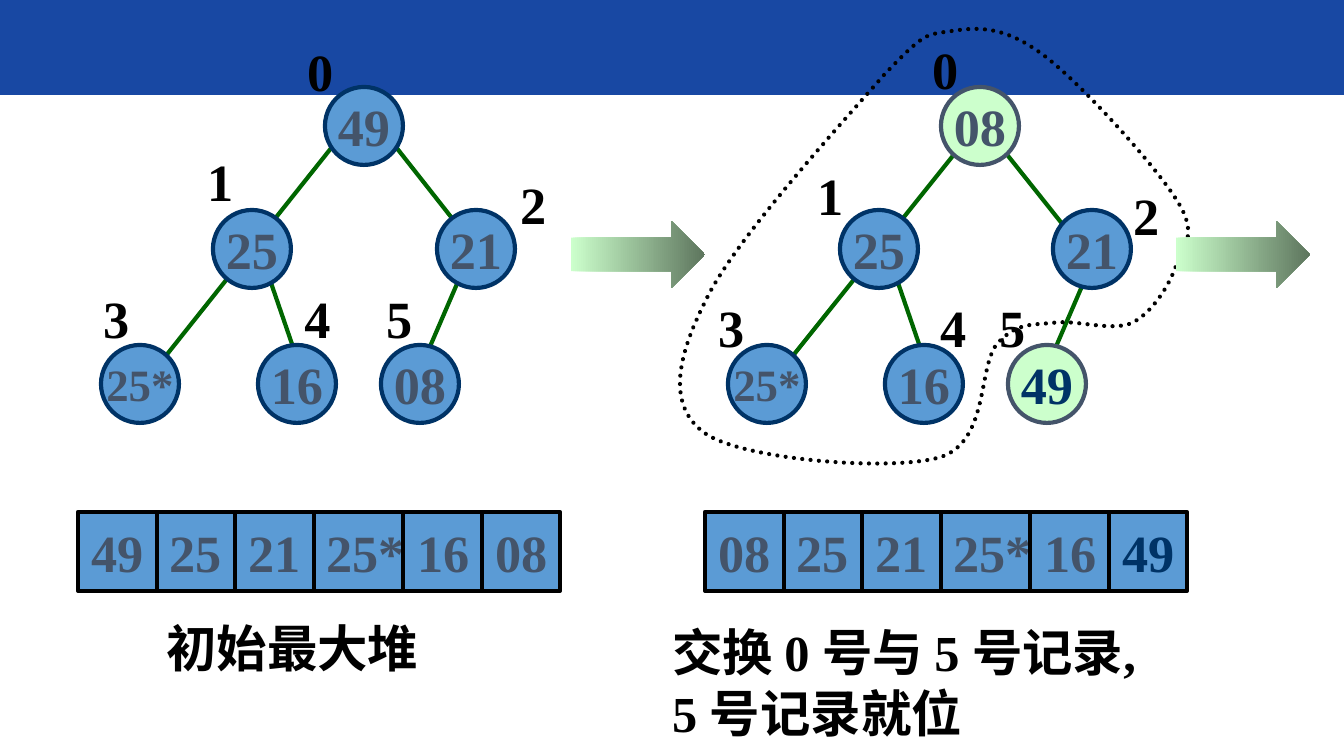
import pptx
import pptx.util
import pptx.dml.color
import pptx.enum.dml
import pptx.enum.shapes
import pptx.enum.text
import pptx.oxml
import pptx.oxml.ns

PX = 9144000 / 1344
KIND = pptx.enum.shapes.MSO_SHAPE
INK, NAVY, SLATE = "000000", "003366", "44546A"
BLUE, MINT = "5B9BD5", "CCFFCC"
SPACE = pptx.oxml.ns.nsdecls("a")

prs = pptx.Presentation()
prs.slide_width, prs.slide_height = round(1344 * PX), round(756 * PX)
slide = prs.slides.add_slide(prs.slide_layouts[6])
shapes = slide.shapes


def color(code):
    return pptx.dml.color.RGBColor.from_string(code)


def draw(kind, x, y, wide, high, fill=None, edge=None, lines=(), size=28):
    """Add a line, text box or preset shape; lines hold (words, color) runs."""
    box = [round(v * PX) for v in (x, y, wide, high)]
    if kind == "line":
        item = shapes.add_connector(
            pptx.enum.shapes.MSO_CONNECTOR.STRAIGHT,
            box[0], box[1], box[0] + box[2], box[1] + box[3])
    elif kind == "text":
        item = shapes.add_textbox(*box)
    else:
        item = shapes.add_shape(kind, *box)
        item.shadow.inherit = False
        if fill:
            item.fill.solid()
            item.fill.fore_color.rgb = color(fill)
        if not edge:
            item.line.fill.background()
    if edge:
        item.line.color.rgb = color(edge)
        item.line.width = pptx.util.Pt(2.25)
    if kind == "line":
        item._element.spPr.append(
            pptx.oxml.parse_xml("<a:effectLst %s/>" % SPACE))
        return item
    frame = item.text_frame
    frame.word_wrap = False
    if kind != "text":
        frame.vertical_anchor = pptx.enum.text.MSO_ANCHOR.MIDDLE
        frame.paragraphs[0].alignment = pptx.enum.text.PP_ALIGN.CENTER
    for i, line in enumerate(lines):
        para = frame.add_paragraph() if i else frame.paragraphs[0]
        for words, tint in line:
            run = para.add_run()
            run.text = words
            run.font.name = "Times New Roman"
            run.font.size = pptx.util.Pt(size)
            run.font.bold = True
            run.font.color.rgb = color(tint)
    return item


# Header band
draw(KIND.RECTANGLE, 0, 0, 1344, 95, "1848A3")

# Heaps: node (left, top, value), index label (left, top), edge ends
first = {
    "nodes": [(325, 87, "49"), (213, 210, "25"), (437, 210, "21"),
              (101, 345, "25*"), (258, 345, "16"), (381, 345, "08")],
    "marks": [(294, 33), (194, 143), (507, 166),
              (90, 280), (291, 280), (373, 280)],
    "edges": [(460, 277, 426, 356), (392, 142, 481, 255),
              (269, 277, 292, 344), (336, 142, 157, 367)],
    "swapped": [], "bar": 78,
}
second = {
    "nodes": [(941, 87, "08"), (840, 210, "25"), (1053, 210, "21"),
              (728, 345, "25*"), (885, 345, "16"), (1008, 345, "49")],
    "marks": [(919, 31), (804, 157), (1120, 177),
              (705, 289), (927, 289), (986, 289)],
    "edges": [(1086, 277, 1052, 356), (997, 142, 1087, 255),
              (896, 277, 919, 344), (964, 142, 784, 367)],
    "swapped": [0, 5], "bar": 705,
}

for heap in (first, second):
    for x, y, right, low in heap["edges"]:
        draw("line", x, y, right - x, low - y, edge="006600")

    tints = []
    for i, (x, y, value) in enumerate(heap["nodes"]):
        moved = i in heap["swapped"]
        tints.append(NAVY if moved and i == 5 else SLATE)
        draw(KIND.OVAL, x, y, 78, 78, MINT if moved else BLUE,
             SLATE if moved else NAVY, [[(value, tints[i])]],
             24 if len(value) > 2 else 28)
    for i, (x, y) in enumerate(heap["marks"]):
        draw("text", x, y, 52, 77, lines=[[(str(i), INK)]])

    # Array bar, with one tab stop for each later cell
    left = heap["bar"]
    words = "\t".join(node[2] for node in heap["nodes"])
    runs = [(words, SLATE)]
    if heap["swapped"]:
        runs = [(words[:-2], SLATE), (words[-2:], NAVY)]
    bar = draw(KIND.RECTANGLE, left, 512, 482, 79, BLUE, INK, [runs])
    bar.text_frame.word_wrap = True
    bar.text_frame.margin_left = round(13 * PX)
    bar.text_frame.margin_right = 0
    para = bar.text_frame.paragraphs[0]
    para.alignment = pptx.enum.text.PP_ALIGN.LEFT
    stops = "".join('<a:tab pos="%d" algn="l"/>' % round(at * PX)
                    for at in (78, 157, 235, 326, 404))
    para._p.get_or_add_pPr().append(pptx.oxml.parse_xml(
        "<a:tabLst %s>%s</a:tabLst>" % (SPACE, stops)))
    for step in (79, 157, 236, 325, 404):
        draw("line", left + step, 512, 0, 79, edge=INK)

# Captions
for x, y, wide, high, lines in [
        (659, 615, 578, 134, ["交换 0 号与 5 号记录,", "5 号记录就位"]),
        (153, 610, 313, 74, ["初始最大堆"])]:
    note = draw("text", x, y, wide, high,
                lines=[[(words, INK)] for words in lines], size=27)
    note.text_frame.word_wrap = True

# Dotted loop around the remaining heap: two handles and an end per curve
start = (884, 75)
curves = [
    (844, 121), (735, 239), (706, 300),
    (676, 359), (667, 407), (706, 434),
    (745, 460), (892, 472), (941, 457),
    (989, 441), (978, 367), (997, 344),
    (1016, 323), (1031, 325), (1052, 323),
    (1075, 319), (1111, 332), (1132, 323),
    (1152, 313), (1169, 286), (1176, 266),
    (1184, 246), (1199, 234), (1176, 199),
    (1154, 164), (1079, 81), (1042, 54),
    (1004, 26), (978, 27), (952, 31),
    (926, 35), (926, 31), start,
]
pen = shapes.build_freeform(*start, scale=PX)
pen.add_line_segments(curves, close=True)
loop = pen.convert_to_shape()
loop.shadow.inherit = False
loop.fill.background()
loop.line.color.rgb = color(INK)
loop.line.width = pptx.util.Pt(2.25)
loop.line.dash_style = pptx.enum.dml.MSO_LINE.ROUND_DOT
loop.line._get_or_add_ln().set("cap", "rnd")

# Join each three segments into one cubic curve
legs = list(loop._element.iter(pptx.oxml.ns.qn("a:lnTo")))
for i in range(0, len(legs), 3):
    bend = pptx.oxml.parse_xml("<a:cubicBezTo %s/>" % SPACE)
    legs[i].addprevious(bend)
    for leg in legs[i:i + 3]:
        bend.append(leg[0])
        leg.getparent().remove(leg)

# Step arrows
for x in (571, 1176):
    arrow = draw(KIND.RIGHT_ARROW, x, 221, 134, 67)
    arrow.fill.gradient()
    arrow.fill.gradient_angle = 0
    for stop, code in zip(arrow.fill.gradient_stops, (MINT, "5E765E")):
        stop.color.rgb = color(code)

prs.save("out.pptx")
